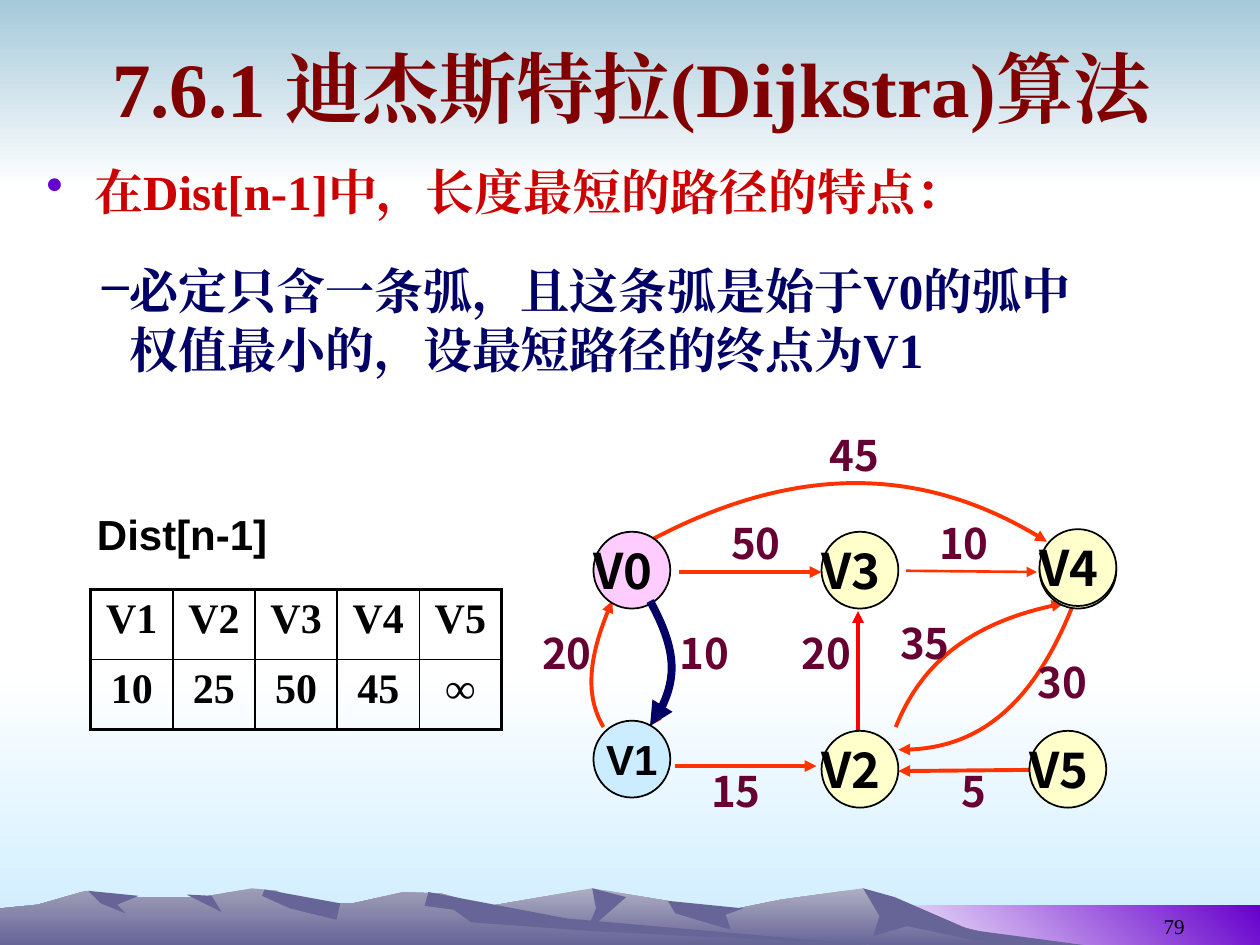
from lxml.etree import SubElement
from pptx import Presentation
from pptx.dml.color import RGBColor
from pptx.enum.shapes import MSO_CONNECTOR, MSO_SHAPE
from pptx.enum.text import MSO_ANCHOR, PP_ALIGN
from pptx.oxml.ns import qn
from pptx.util import Cm, Pt

COLORS = {
    "black": "000000", "white": "FFFFFF", "sky": "A6C9DA", "ice": "CCECFF",
    "purple": "6600CC", "slate": "676597", "slate_mid": "9F9EB8", "slate_light": "AEAEC2",
    "title": "800000", "red": "CC0000", "navy": "000066", "weight": "660033",
    "edge": "FF3300", "pure_red": "FF0000", "cream": "FFFFCC", "pink": "FFCCFF",
}
TIMES, NOTO, ARIAL = "Times New Roman", "Noto Sans CJK SC", "Arial"

# Ridge outlines, back to front: (fill or top and bottom colours, points)
RIDGES = [
    (("slate_light", "slate"), [
        (82, 4.5), (72, 2), (68.5, 0), (62, .9), (56.6, 2), (53, 1), (47, 0), (36, 1.9), (26, 4.5)]),
    (("slate",), [(68.5, 0), (69.8, 2.2), (69.3, 3.8), (72, 3), (79, 4.5), (86, 4.5), (77, 3.3), (71, .7)]),
    (("slate",), [(47, 0), (47.3, 1.6), (46.5, 3.5), (49.7, .7)]),
    (("slate",), [(53, 1), (53.6, 2), (58, 3.3), (57.6, 2.1), (59, 1.6)]),
    (("slate_mid", "slate"), [
        (69, 4.5), (43, 2.7), (35, .4), (32, .3), (28, 1.2), (23.6, 1.2), (22, .2), (20, 0),
        (16, .7), (9.4, .7), (6.8, .2), (3, 1.3), (0, 1.6), (0, 4.5)]),
    (("slate",), [(21, .1), (20.8, .6), (23, 1.6), (26.7, 2.5), (27, 1.2)]),
    (("slate",), [(34, .3), (33.7, 1.4), (36, 1.7), (37.4, 2.7), (47, 3.4), (69, 4.5), (45, 2.4)]),
    (("slate",), [(14.8, .5), (16.8, .6), (17.6, 1.9)]),
    (("slate",), [(7, .2), (8, 1.2), (10, 2), (9.3, 1.3), (11, .6)]),
]

# Arcs: start, point passed halfway, end
V0_V1 = [(11.6, 14.7), (13.2, 20.1), (11.6, 24.6)]
CURVES = [
    V0_V1,
    [(7.9, 24.7), (7, 20.4), (8.6, 14.7)],
    [(31.1, 24.7), (36, 18.3), (44.4, 14.9)],
    [(45.2, 14.9), (39.4, 23.7), (31.3, 26.5)],
    [(11.6, 9.9), (28, 5.4), (43.1, 10)],
]
STRAIGHT = [
    ((42.1, 28.1), (31.3, 28.2), "edge", 2.25), ((13.6, 27.8), (24.8, 27.8), "edge", 2.25),
    ((13.9, 12.4), (25.2, 12.4), "edge", 2.25), ((28.1, 25.5), (28.1, 15.5), "pure_red", 2.25),
    ((31.9, 12.3), (42.3, 12.4), "edge", 1.5),
]
WEIGHTS = {  # top: (text, centre x) of each label in the row
    .6: [("45", 27.8)],
    7.6: [("50", 20), ("10", 36.5)],
    15.5: [("35", 33.4)],
    16.3: [("20", 5), ("10", 15.9), ("20", 25.6)],
    18.6: [("30", 44.3)],
    27.3: [("15", 18.4), ("5", 37.3)],
}
NODES = [
    ("V4", 42.5, 9.2, "cream"), ("V3", 25.2, 9.2, "cream"), ("V0", 7.1, 9.2, "pink"),
    ("V4", 42.5, 9, "cream"), ("V2", 25.2, 25, "cream"), ("V5", 41.7, 25, "cream"),
]


def u(n):
    """Grid unit: the slide is 100 units wide and 75 high."""
    return Cm(n * 0.254)


def rgb(name):
    return RGBColor.from_string(COLORS[name])


def paint(sp, colors, angle=90):
    sp.shadow.inherit = False
    sp.line.fill.background()
    if len(colors) == 1:
        sp.fill.solid()
        sp.fill.fore_color.rgb = rgb(colors[0])
        return
    sp.fill.gradient()
    sp.fill.gradient_angle = 360 - angle
    for stop, color, pos in zip(sp.fill.gradient_stops, colors, (0, 1)):
        stop.color.rgb, stop.position = rgb(color), pos


def write(p, text, size, font, color, bold=True, align=None):
    p.alignment = align
    r = p.add_run()
    r.text = text
    r.font.size, r.font.name, r.font.bold = Pt(size), font, bold
    r.font.color.rgb = rgb(color)
    SubElement(r._r.get_or_add_rPr(), qn("a:ea"), typeface=font)


def add_text(s, box, *args, anchor=MSO_ANCHOR.TOP, wrap=True, left=1, **kwargs):
    tf = s.shapes.add_textbox(*map(u, box)).text_frame
    tf.word_wrap, tf.vertical_anchor, tf.margin_left = wrap, anchor, u(left)
    write(tf.paragraphs[0], *args, **kwargs)
    return tf.paragraphs[0]


def set_bullet(p, char, margin, indent, color):
    pPr = p._p.get_or_add_pPr()
    pPr.set("marL", str(u(margin)))
    pPr.set("indent", str(u(indent)))
    SubElement(SubElement(pPr, qn("a:buClr")), qn("a:srgbClr"), val=COLORS[color])
    SubElement(pPr, qn("a:buChar"), char=char)


def add_outline(s, left, top, points, close):
    pts = [(u(left + x), u(top + y)) for x, y in points]
    builder = s.shapes.build_freeform(*pts[0])
    builder.add_line_segments(pts[1:], close=close)
    return builder.convert_to_shape()


def style_arrow(sp, color, width):
    sp.line.color.rgb, sp.line.width = rgb(color), Pt(width)
    SubElement(sp.line._get_or_add_ln(), qn("a:tailEnd"), type="triangle")


def add_curve(s, left, top, points, color="edge", width=2.25):
    sp = add_outline(s, left, top, points, close=False)
    sp.fill.background()
    style_arrow(sp, color, width)
    sp.shadow.inherit = False
    # Replace the two segments by one quadratic curve through the middle point
    outline = sp._element.find(".//" + qn("a:path"))
    start, mid, end = outline.iter(qn("a:pt"))
    for axis in "xy":
        a, m, b = (int(pt.get(axis)) for pt in (start, mid, end))
        mid.set(axis, str(2 * m - (a + b) // 2))
    for segment in outline.findall(qn("a:lnTo")):
        outline.remove(segment)
    quad = SubElement(outline, qn("a:quadBezTo"))
    quad.append(mid)
    quad.append(end)


def add_circle(s, x, y, color):
    sp = s.shapes.add_shape(MSO_SHAPE.OVAL, u(x), u(y), u(6.1), u(6.1))
    paint(sp, (color,))
    sp.line.color.rgb, sp.line.width = rgb("black"), Pt(1)
    return sp


def add_backdrop(s, left, top, width, height):
    bands = [((0, 53.3, width, height - 53.3), ("white", "ice"), 90),
             ((0, 0, width, 15), ("sky", "white"), 90),
             ((68.3, 71.9, width - 68.3, height - 71.9), ("white", "purple"), 315)]
    for (x, y, w, h), colors, angle in bands:
        sp = s.shapes.add_shape(MSO_SHAPE.RECTANGLE, u(left + x), u(top + y), u(w), u(h))
        paint(sp, colors, angle)
    for colors, points in RIDGES:
        paint(add_outline(s, left, top + height - 4.5, points, close=True), colors)
    add_text(s, (left + 71.7, top + 70.3, 23.3, 4.7), "79", 12, TIMES, "black", bold=False,
             align=PP_ALIGN.RIGHT, anchor=MSO_ANCHOR.BOTTOM)


def add_heading(s, left, top, width):
    add_text(s, (left + 2.4, top, width - 4.5, 11.2), "7.6.1 迪杰斯特拉(Dijkstra)算法", 44, TIMES,
             "title", align=PP_ALIGN.CENTER, anchor=MSO_ANCHOR.MIDDLE)
    p = add_text(s, (left, top + 11, width, 6), "在Dist[n-1]中，长度最短的路径的特点：", 28, TIMES, "red")
    set_bullet(p, "•", 3.8, -3.8, "purple")
    p = add_text(s, (left + 1.6, top + 18.9, width - 9.5, 10.3),
                 "必定只含一条弧，且这条弧是始于V0的弧中权值最小的，设最短路径的终点为V1", 28, TIMES, "navy")
    set_bullet(p, "–", 5, -2.2, "navy")


def add_graph(s, left, top):
    # Edges and their weights
    for (x1, y1), (x2, y2), color, width in STRAIGHT:
        line = s.shapes.add_connector(MSO_CONNECTOR.STRAIGHT, u(left + x1), u(top + y1),
                                      u(left + x2), u(top + y2))
        style_arrow(line, color, width)
        SubElement(line._element.spPr, qn("a:effectLst"))
    for points in CURVES:
        add_curve(s, left, top, points)
    for y, labels in WEIGHTS.items():
        for text, x in labels:
            add_text(s, (left + x - 6, top + y, 12, 5), text, 24, NOTO, "weight", align=PP_ALIGN.CENTER)
    # Vertices
    for text, x, y, color in NODES:
        add_circle(s, left + x, top + y, color)
        add_text(s, (left + x, top + y + .2, 10.5, 5.7), text, 28, NOTO, "black", left=0)
    # Shortest arc and its end
    add_curve(s, left, top, V0_V1, "navy", 4.5)
    tf = add_circle(s, left + 7.1, top + 24.2, "ice").text_frame
    tf.word_wrap, tf.vertical_anchor = False, MSO_ANCHOR.MIDDLE
    write(tf.paragraphs[0], "V1", 24, ARIAL, "black", align=PP_ALIGN.CENTER)


def add_border(cell, side, width):
    ln = SubElement(cell._tc.get_or_add_tcPr(), qn("a:ln" + side), w=str(Pt(width)))
    SubElement(SubElement(ln, qn("a:solidFill")), qn("a:srgbClr"), val=COLORS["black"])


def add_dist_table(s, left, top, width):
    add_text(s, (left - .5, top, 15.5, 5), "Dist[n-1]", 24, ARIAL, "black", wrap=False,
             align=PP_ALIGN.CENTER)
    rows = [("V1", "V2", "V3", "V4", "V5"), ("10", "25", "50", "45", "∞")]
    table = s.shapes.add_table(2, 5, u(left), u(top + 6.9), u(width), u(11.1)).table
    table.first_row = table.horz_banding = False
    for i, row in enumerate(rows):
        for j, text in enumerate(row):
            cell = table.cell(i, j)
            write(cell.text_frame.paragraphs[0], text, 24, TIMES, "black", align=PP_ALIGN.CENTER)
            outer = {"L": j == 0, "R": j == 4, "T": i == 0, "B": i == 1}
            for side, is_outer in outer.items():
                add_border(cell, side, 2.25 if is_outer else 1)
            cell.fill.background()


def main():
    prs = Presentation()
    prs.slide_width, prs.slide_height = u(100), u(75)
    s = prs.slides.add_slide(prs.slide_layouts[6])
    add_backdrop(s, 0, 0, 100, 75)
    add_heading(s, 2.7, 1.3, 94.5)
    add_graph(s, 40, 33)
    add_dist_table(s, 7.2, 39.9, 32.6)
    prs.save("out.pptx")


if __name__ == "__main__":
    main()
